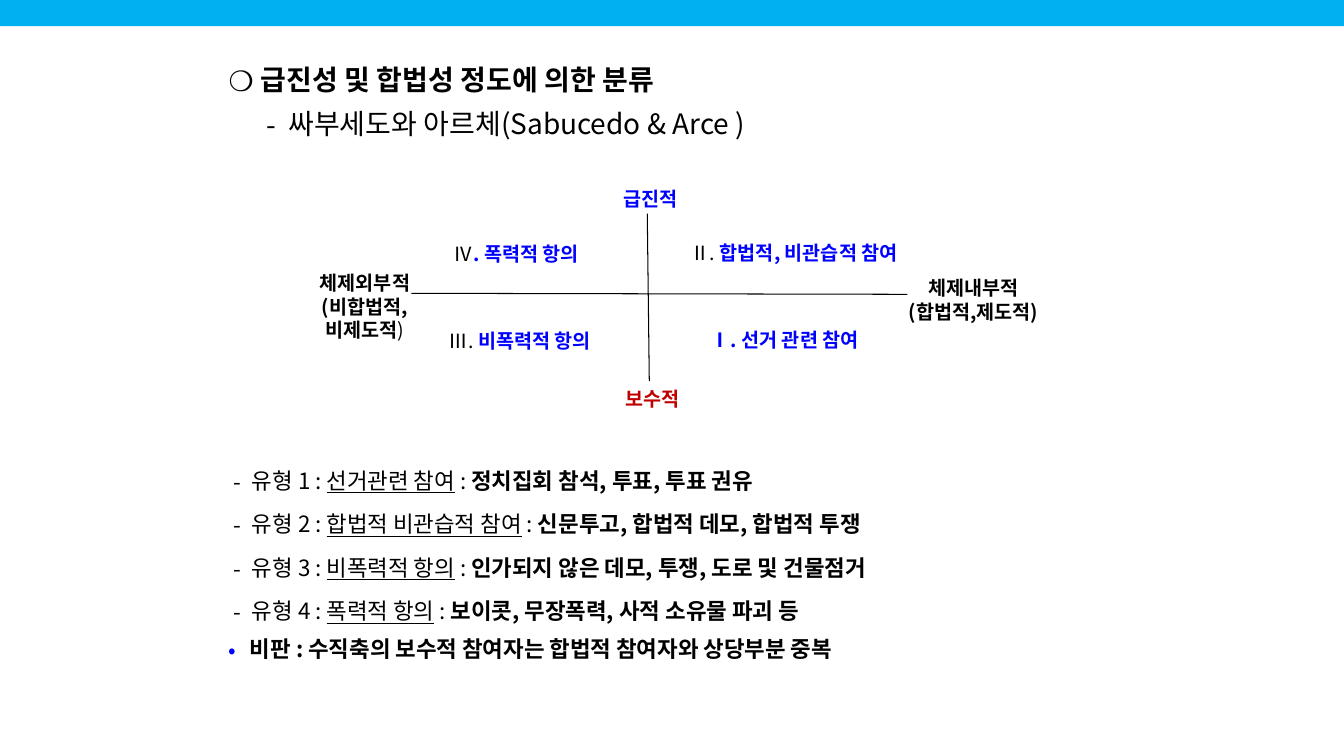
from lxml import etree
from pptx import Presentation
from pptx import util as u
from pptx.dml.color import RGBColor
from pptx.enum import shapes, text
from pptx.oxml import ns

BLACK = RGBColor(0x00, 0x00, 0x00)
BLUE = RGBColor(0x00, 0x00, 0xFF)
RED = RGBColor(0xC0, 0x00, 0x00)
SKY = RGBColor(0x00, 0xB0, 0xF0)

PLAIN = {"bold": False}
BOLD = {"bold": True}
LINKED = {"underline": True}
BLUE_BOLD = {"bold": True, "color": BLUE}
RED_BOLD = {"bold": True, "color": RED}


class SlideBuilder:
    font = "Noto Sans CJK KR"

    def __init__(self, deck):
        self.slide = deck.slides.add_slide(deck.slide_layouts[6])

    def bar(self, left, top, width, height, color):
        bar = self.slide.shapes.add_shape(
            shapes.MSO_SHAPE.RECTANGLE, *map(u.Inches, (left, top, width, height)))
        bar.shadow.inherit = False
        bar.fill.solid()
        bar.fill.fore_color.rgb = color
        bar.line.fill.background()

    def line(self, x1, y1, x2, y2):
        line = self.slide.shapes.add_connector(
            shapes.MSO_CONNECTOR.STRAIGHT, *map(u.Inches, (x1, y1, x2, y2)))
        line.line.color.rgb = BLACK
        line.line.width = u.Pt(0.75)
        etree.SubElement(line._element.spPr, ns.qn("a:effectLst"))

    def box(self, left, top, width, height, wrap=True):
        box = self.slide.shapes.add_textbox(
            *map(u.Inches, (left, top, width, height)))
        box.text_frame.word_wrap = wrap
        return box.text_frame

    def para(self, frame, spans, size, leading, **formats):
        """Fill the empty first paragraph, or add one; leading is in points."""
        first = frame.paragraphs[0]
        para = frame.add_paragraph() if first.runs else first
        para.line_spacing = u.Pt(leading)
        for name, value in formats.items():
            setattr(para, name, value)
        for wording, style in spans:
            self.span(para, wording, size, style)
        return para

    def span(self, para, wording, size, style):
        span = para.add_run()
        span.text = wording
        values = {"size": u.Pt(size), "bold": False, "color": BLACK, **style}
        span.font.color.rgb = values.pop("color")
        for name, value in values.items():
            setattr(span.font, name, value)
        span.font.name = self.font
        latin = span.font._element.find(ns.qn("a:latin"))
        latin.addnext(latin.makeelement(ns.qn("a:ea"), {"typeface": self.font}))

    def bullet(self, para, mark, indent, hang, color=BLACK):
        """Start the mark at indent and the wording hang inches after it."""
        props = para._p.get_or_add_pPr()
        props.set("marL", str(u.Inches(indent + hang)))
        props.set("indent", str(-u.Inches(hang)))
        tint = etree.SubElement(props, ns.qn("a:buClr"))
        etree.SubElement(tint, ns.qn("a:srgbClr"), val=str(color))
        etree.SubElement(props, ns.qn("a:buFont"), typeface=self.font)
        etree.SubElement(props, ns.qn("a:buChar"), char=mark)

    def label(self, left, top, width, height, lines, wrap=False):
        frame = self.box(left, top, width, height, wrap)
        for spans in lines:
            self.para(frame, spans, 14, 16.8, alignment=text.PP_ALIGN.CENTER)


def main():
    deck = Presentation()
    deck.slide_width, deck.slide_height = u.Inches(13.33), u.Inches(7.5)
    page = SlideBuilder(deck)
    gap = {"space_after": u.Pt(10)}

    # Top band
    page.bar(0, 0, 13.33, 0.26, SKY)

    # Heading
    heading = page.box(1.97, 0.6, 9.01, 0.9)
    for wording, style, mark, indent, hang in (
        ("급진성 및 합법성 정도에 의한 분류", BOLD, "❍", 0.2, 0.32),
        ("싸부세도와 아르체(Sabucedo & Arce )", PLAIN, "-", 0.57, 0.22),
    ):
        para = page.para(heading, [(wording, style)], 20, 21.6, **gap)
        page.bullet(para, mark, indent, hang)

    # Axes
    page.line(4.08, 2.91, 9, 2.92)
    page.line(6.42, 2.12, 6.44, 3.78)

    # Axis ends
    page.label(6.06, 1.81, 0.79, 0.34, [[("급진적", BLUE_BOLD)]])
    page.label(6.08, 3.79, 0.79, 0.34, [[("보수적", RED_BOLD)]])
    page.label(3.03, 2.64, 1.18, 0.81, [
        [("체제외부적", BOLD)],
        [("(비합법적,", BOLD)],
        [("비제도적", BOLD), (")", PLAIN)],
    ])
    page.label(8.87, 2.69, 1.57, 0.81, [
        [("체제내부적", BOLD)],
        [("(합법적,제도적)", BOLD)],
    ], wrap=True)

    # Quadrants
    for left, top, width, spans in (
        (6.65, 2.34, 2.45, [("Ⅱ. ", PLAIN), ("합법적, 비관습적 참여", BLUE_BOLD)]),
        (4.34, 2.35, 1.56, [("Ⅳ", PLAIN), (". 폭력적 항의", BLUE_BOLD)]),
        (4.28, 3.21, 1.75, [("Ⅲ. ", PLAIN), ("비폭력적 항의", BLUE_BOLD)]),
        (6.87, 3.2, 1.83, [("Ⅰ. 선거 관련 참여", BLUE_BOLD)]),
    ):
        page.label(left, top, width, 0.34, [spans])

    # Types of participation
    types = page.box(1.97, 4.56, 9.01, 2.17)
    for number, (kind, examples) in enumerate((
        ("선거관련 참여", "정치집회 참석, 투표, 투표 권유"),
        ("합법적 비관습적 참여", "신문투고, 합법적 데모, 합법적 투쟁"),
        ("비폭력적 항의", "인가되지 않은 데모, 투쟁, 도로 및 건물점거"),
        ("폭력적 항의", "보이콧, 무장폭력, 사적 소유물 파괴 등"),
    ), start=1):
        spans = [(f"유형 {number} : ", PLAIN), (kind, LINKED),
                 (" : ", PLAIN), (examples, BOLD)]
        para = page.para(types, spans, 16, 21, **gap)
        page.bullet(para, "-", 0.25, 0.18)

    # Criticism
    criticism = "비판 : 수직축의 보수적 참여자는 합법적 참여자와 상당부분 중복"
    para = page.para(types, [(criticism, BOLD)], 16, 17.3)
    page.bullet(para, "•", 0.2, 0.21, BLUE)

    deck.save("out.pptx")


if __name__ == "__main__":
    main()
